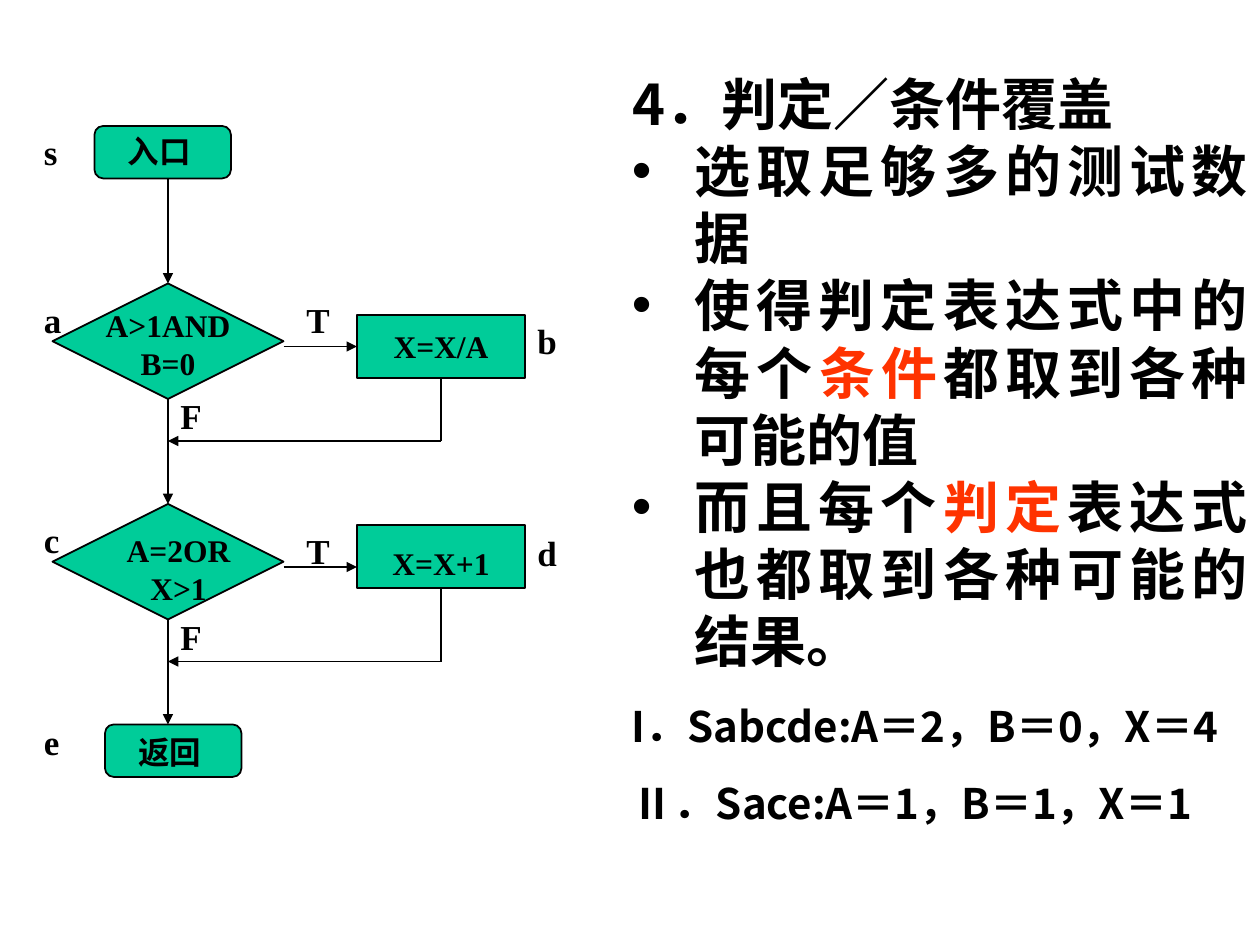
from dataclasses import dataclass

from lxml.etree import SubElement
from pptx import Presentation
from pptx.dml.color import RGBColor
from pptx.enum.shapes import MSO_CONNECTOR, MSO_SHAPE
from pptx.enum.text import MSO_ANCHOR, MSO_AUTO_SIZE, PP_ALIGN
from pptx.oxml.ns import qn
from pptx.util import Cm, Pt


@dataclass(frozen=True)
class Theme:
    ink: RGBColor = RGBColor(0x00, 0x00, 0x00)
    node: RGBColor = RGBColor(0x00, 0xCC, 0x99)
    accent: RGBColor = RGBColor(0xFF, 0x33, 0x00)
    sans: str = "Noto Sans CJK SC"
    serif: str = "Times New Roman"
    heading: int = 32
    case: int = 24
    label: int = 20
    step: int = 18


theme = Theme()


def grid(*units):
    """Turn units of a twelfth of an inch, the flowchart's grid, into lengths."""
    return [Cm(2.54 * unit / 12) for unit in units]


def write(frame, text, size, font=theme.sans, align=PP_ALIGN.LEFT,
          hanging=False, bullet=None, before=0):
    """Add a paragraph; the parts between bars take the accent colour."""
    frame.word_wrap = True
    paragraph = frame.add_paragraph() if frame.text else frame.paragraphs[0]
    paragraph.alignment = align
    paragraph.space_before = Pt(before)
    properties = paragraph._p.get_or_add_pPr()
    if hanging:
        properties.set("marL", str(Cm(1.27)))
        properties.set("indent", str(-Cm(1.27)))
    if bullet:
        SubElement(properties, qn("a:buFont"), typeface="Arial")
        SubElement(properties, qn("a:buChar"), char=bullet)
    for index, part in enumerate(text.split("|")):
        run = paragraph.add_run()
        run.text = part
        run.font.size = Pt(size)
        run.font.bold = True
        run.font.color.rgb = theme.accent if index % 2 else theme.ink
        run.font.name = font
        SubElement(run._r.get_or_add_rPr(), qn("a:ea"), typeface=theme.sans)


presentation = Presentation()
presentation.slide_width, presentation.slide_height = Cm(25.4), Cm(19.05)
slide = presentation.slides.add_slide(presentation.slide_layouts[5])

# Heading
heading = slide.shapes.title
heading.left, heading.top, heading.width, heading.height = grid(59, 6, 61, 7.6)
heading.text_frame.vertical_anchor = MSO_ANCHOR.TOP
heading.text_frame.auto_size = MSO_AUTO_SIZE.NONE
write(heading.text_frame, "4．判定／条件覆盖", theme.heading)

# Flowchart nodes: shape, left, top, width, height
flowchart = slide.shapes.add_group_shape().shapes
nodes = {}
for step, preset, *box in [
    ("entry", MSO_SHAPE.FLOWCHART_ALTERNATE_PROCESS, 9, 12, 13, 5),
    ("first test", MSO_SHAPE.FLOWCHART_DECISION, 5, 27, 22, 11),
    ("second test", MSO_SHAPE.FLOWCHART_DECISION, 5, 48, 22, 11),
    ("return", MSO_SHAPE.FLOWCHART_ALTERNATE_PROCESS, 10, 69, 13, 5),
    ("divide", MSO_SHAPE.RECTANGLE, 34, 30, 16, 6),
    ("add", MSO_SHAPE.RECTANGLE, 34, 50, 16, 6),
]:
    node = nodes[step] = flowchart.add_shape(preset, *grid(*box))
    node.shadow.inherit = False
    node.fill.solid()
    node.fill.fore_color.rgb = theme.node
    node.line.color.rgb = theme.ink
    node.line.width = Pt(1)

# Flow lines: start x, y, end x, y, arrowhead, joined start and end (node, side)
for *ends, arrow, start, end in [
    (16, 17, 16, 27, True, None, ("first test", 0)),
    (16, 38, 16, 48, True, ("first test", 2), ("second test", 0)),
    (16, 59, 16, 69, True, ("second test", 2), None),
    (27, 33, 34, 33, True, None, ("divide", 1)),
    (27, 54, 34, 54, True, None, None),
    (42, 36, 42, 42, False, ("divide", 2), None),
    (42, 56, 42, 63, False, ("add", 2), None),
    (42, 42, 16, 42, True, None, None),
    (42, 63, 16, 63, True, None, None),
]:
    flow = flowchart.add_connector(MSO_CONNECTOR.STRAIGHT, *grid(*ends))
    flow.line.color.rgb = theme.ink
    flow.line.width = Pt(1)
    if start:
        flow.begin_connect(nodes[start[0]], start[1])
    if end:
        flow.end_connect(nodes[end[0]], end[1])
    outline = flow._element.spPr
    if arrow:
        SubElement(outline.find(qn("a:ln")), qn("a:tailEnd"), type="triangle")
    SubElement(outline, qn("a:effectLst"))

# Path and branch letters
for letter, left, top in [
    ("s", 3, 11.8), ("a", 3, 27.8), ("c", 3, 48.8), ("e", 3, 68),
    ("b", 50, 29.8), ("d", 50, 50),
    ("T", 28, 27.8), ("T", 28, 49.8), ("F", 16, 37), ("F", 16, 58),
]:
    caption = flowchart.add_textbox(*grid(left, top, 5, 5.2))
    write(caption.text_frame, letter, theme.label, theme.serif)

# Wording of the nodes
for wording, align, *box in [
    ("入口", PP_ALIGN.LEFT, 11, 12, 11, 4.8),
    ("返回", PP_ALIGN.LEFT, 12, 69.2, 11, 4.8),
    ("A>1AND B=0", PP_ALIGN.CENTER, 8, 28.6, 16, 8.4),
    ("A=2OR X>1", PP_ALIGN.CENTER, 9, 50, 16, 8.4),
    ("X=X/A", PP_ALIGN.CENTER, 34, 30.6, 16, 4.8),
    ("X=X+1", PP_ALIGN.CENTER, 34, 51.2, 16, 4.8),
]:
    caption = flowchart.add_textbox(*grid(*box))
    write(caption.text_frame, wording, theme.step, theme.serif, align)

# Criterion and test cases
criterion = slide.shapes.add_textbox(*grid(59, 12.4, 61, 77)).text_frame
for requirement in [
    "选取足够多的测试数据",
    "使得判定表达式中的每个|条件|都取到各种可能的值",
    "而且每个|判定|表达式也都取到各种可能的结果。",
]:
    write(criterion, requirement, theme.heading, align=PP_ALIGN.JUSTIFY,
          hanging=True, bullet="•")
for test_case in ["I．Sabcde:A＝2，B＝0，X＝4", "Ⅱ．Sace:A＝1，B＝1，X＝1"]:
    write(criterion, test_case, theme.case, hanging=True, before=15)

presentation.save("out.pptx")
